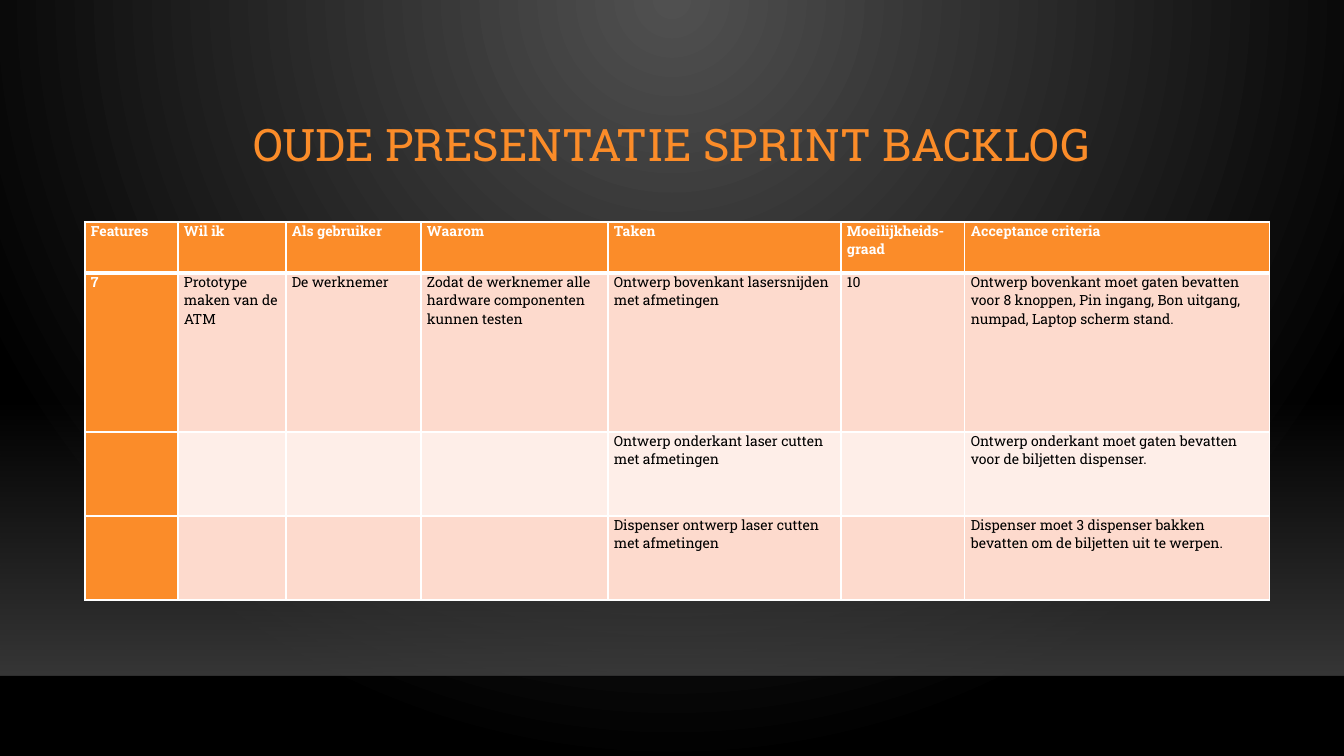
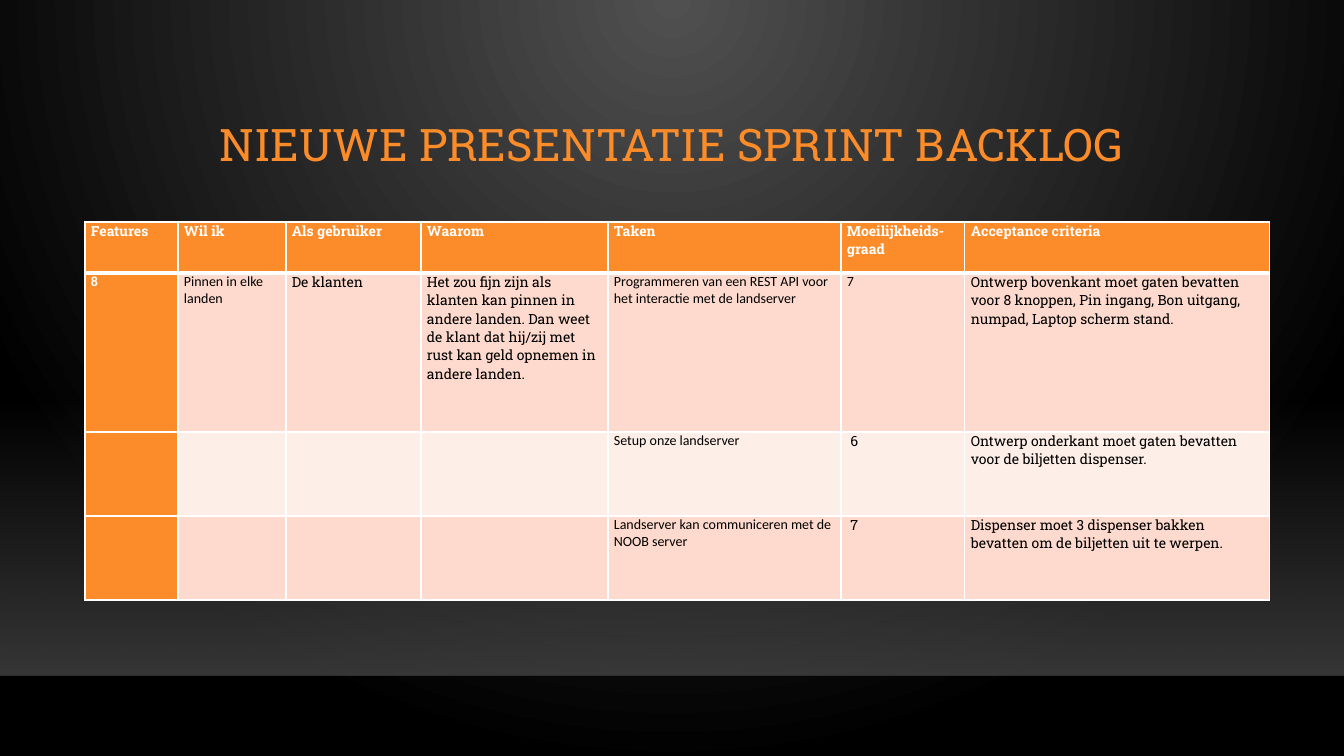
from dataclasses import dataclass

from lxml import etree
from pptx import Presentation
from pptx.dml.color import RGBColor
from pptx.enum.shapes import MSO_CONNECTOR, MSO_SHAPE
from pptx.enum.text import MSO_ANCHOR, MSO_AUTO_SIZE, PP_ALIGN
from pptx.oxml import parse_xml
from pptx.oxml.ns import nsdecls, qn
from pptx.util import Emu, Pt

STRAIGHT = MSO_CONNECTOR.STRAIGHT
RECTANGLE = MSO_SHAPE.RECTANGLE
MIDDLE = MSO_ANCHOR.MIDDLE
NO_AUTOFIT = MSO_AUTO_SIZE.NONE
CENTER = PP_ALIGN.CENTER

EMU_PER_PX = 914400 / 100.8
SLIDE_WIDTH, SLIDE_HEIGHT = 1344, 756
BAND_TOP, BAND_BOTTOM = 400, 676
TITLE_ONLY_LAYOUT = 5


@dataclass(frozen=True)
class Theme:
    accent: str = "FB8C29"
    row_dark: str = "FDDACD"
    row_light: str = "FEEEE8"
    border: str = "FFFFFF"
    header_text: str = "FFFFFF"
    body_text: str = "000000"
    glow: str = "505050"
    backdrop: str = "000000"
    band: str = "454545"
    band_edge: str = "000001"
    font: str = "Roboto Slab"
    plain_font: str = "Calibri"
    title_size: int = 32
    table_size: int = 10
    thin_line: int = 1
    thick_line: int = 3


@dataclass(frozen=True)
class Box:
    left: int
    top: int
    width: int
    height: int

    def emu(self) -> tuple[Emu, Emu, Emu, Emu]:
        return px(self.left), px(self.top), px(self.width), px(self.height)


@dataclass(frozen=True)
class Entry:
    text: str = ""
    font: str = Theme.font


@dataclass(frozen=True)
class Backlog:
    """A sprint backlog; its rows leave out the shared acceptance criteria."""
    title: str
    rows: tuple[tuple[Entry, ...], ...]


THEME = Theme()
TITLE_BOX = Box(160, 89, 1024, 116)
TABLE_LEFT, TABLE_TOP = 85, 222
COLUMN_WIDTHS = (93, 108, 135, 187, 233, 124, 305)
ROW_HEIGHTS = (51, 159, 84, 84)
CELL_INSET = 6

HEADERS = tuple(map(Entry, (
    "Features", "Wil ik", "Als gebruiker", "Waarom", "Taken",
    "Moeilijkheids-graad", "Acceptance criteria",
)))
ACCEPTANCE_CRITERIA = tuple(map(Entry, (
    "Ontwerp bovenkant moet gaten bevatten voor 8 knoppen, Pin ingang, "
    "Bon uitgang, numpad, Laptop scherm stand.",
    "Ontwerp onderkant moet gaten bevatten voor de biljetten dispenser.",
    "Dispenser moet 3 dispenser bakken bevatten om de biljetten uit te werpen.",
)))
NO_STORY = (Entry(),) * 4


def plain(text: str) -> Entry:
    return Entry(text, THEME.plain_font)


BACKLOGS = (
    Backlog("OUDE PRESENTATIE SPRINT BACKLOG", (
        (Entry("7"), Entry("Prototype maken van de ATM"), Entry("De werknemer"),
         Entry("Zodat de werknemer alle hardware componenten kunnen testen"),
         Entry("Ontwerp bovenkant lasersnijden met afmetingen"), Entry("10")),
        (*NO_STORY, Entry("Ontwerp onderkant laser cutten met afmetingen"), Entry()),
        (*NO_STORY, Entry("Dispenser ontwerp laser cutten met afmetingen"), Entry()),
    )),
    Backlog("NIEUWE PRESENTATIE SPRINT BACKLOG", (
        (plain("8"), plain("Pinnen in elke landen"), Entry("De klanten"),
         Entry("Het zou fijn zijn als klanten kan pinnen in andere landen. "
               "Dan weet de klant dat hij/zij met rust kan geld opnemen in andere landen."),
         plain("Programmeren van een REST API voor het interactie met de landserver"),
         plain("7")),
        (*NO_STORY, plain("Setup onze landserver"), Entry(" 6")),
        (*NO_STORY, plain("Landserver kan communiceren met de NOOB server"), Entry(" 7")),
    )),
)


def px(length: int) -> Emu:
    return Emu(round(length * EMU_PER_PX))


def rgb(color: str) -> RGBColor:
    return RGBColor.from_string(color)


def replace_solid_fill(element, stops: tuple[tuple[str, int], ...], direction: str) -> None:
    """Swap the first solid fill for a gradient between (colour, opacity) stops."""
    stop_xml = "".join(
        f'<a:gs pos="{position}"><a:srgbClr val="{color}">'
        f'<a:alpha val="{opacity * 1000}"/></a:srgbClr></a:gs>'
        for position, (color, opacity) in zip((0, 100000), stops)
    )
    gradient = parse_xml(
        f'<a:gradFill {nsdecls("a")} rotWithShape="1">'
        f"<a:gsLst>{stop_xml}</a:gsLst>{direction}</a:gradFill>"
    )
    solid = element.find(".//" + qn("a:solidFill"))
    solid.getparent().replace(solid, gradient)


def move_to_master(shape, master) -> None:
    tree = master.element.cSld.spTree
    used_ids = [int(value) for value in tree.xpath(".//p:cNvPr/@id")]
    shape.element.xpath(".//p:cNvPr")[0].set("id", str(max(used_ids) + 1))
    tree.append(shape.element)


def decorate_master(master, slide) -> None:
    """Build the backdrop and the floor band once; the slide only lends its shape tree."""
    master.background.fill.solid()
    master.background.fill.fore_color.rgb = rgb(THEME.backdrop)
    replace_solid_fill(
        master.element.cSld.find(qn("p:bg")),
        ((THEME.glow, 100), (THEME.backdrop, 100)),
        '<a:path path="circle"><a:fillToRect l="43000" t="0" r="43000" b="100000"/></a:path>',
    )

    band_box = Box(0, BAND_TOP, SLIDE_WIDTH, BAND_BOTTOM - BAND_TOP)
    band = slide.shapes.add_shape(RECTANGLE, *band_box.emu())
    band.shadow.inherit = False
    band.line.fill.background()
    band.fill.solid()
    replace_solid_fill(
        band.element.spPr, ((THEME.band, 0), (THEME.band, 80)),
        '<a:lin ang="5400000" scaled="0"/>',
    )
    move_to_master(band, master)

    edge = slide.shapes.add_connector(
        STRAIGHT, px(0), px(BAND_BOTTOM), px(SLIDE_WIDTH), px(BAND_BOTTOM))
    edge.line.width = Pt(THEME.thin_line)
    edge.line.color.rgb = rgb(THEME.band_edge)
    color = edge.element.spPr.find(".//" + qn("a:srgbClr"))
    etree.SubElement(color, qn("a:alpha")).set("val", "20000")
    etree.SubElement(edge.element.spPr, qn("a:effectLst"))
    move_to_master(edge, master)


def format_font(paragraph, font: str, size: int, color: str, bold: bool = False) -> None:
    paragraph.font.name = font
    paragraph.font.size = Pt(size)
    paragraph.font.bold = bold
    paragraph.font.color.rgb = rgb(color)


def add_title(slide, text: str) -> None:
    title = slide.shapes.title
    title.left, title.top, title.width, title.height = TITLE_BOX.emu()
    frame = title.text_frame
    frame.text = text
    frame.word_wrap = True
    frame.auto_size = NO_AUTOFIT
    frame.vertical_anchor = MIDDLE
    paragraph = frame.paragraphs[0]
    paragraph.alignment = CENTER
    paragraph.line_spacing = 0.9
    format_font(paragraph, THEME.font, THEME.title_size, THEME.accent)


def set_borders(cell, top: int, bottom: int) -> None:
    """Draw all four borders; call before filling, as lines precede the fill."""
    properties = cell._tc.get_or_add_tcPr()
    widths = {"lnL": THEME.thin_line, "lnR": THEME.thin_line, "lnT": top, "lnB": bottom}
    for side, width in widths.items():
        properties.append(parse_xml(
            f'<a:{side} {nsdecls("a")} w="{Pt(width)}"><a:solidFill>'
            f'<a:srgbClr val="{THEME.border}"/></a:solidFill></a:{side}>'
        ))


def fill_cell(cell, entry: Entry, row: int, column: int) -> None:
    is_heading = row == 0 or column == 0
    set_borders(
        cell,
        top=THEME.thick_line if row == 1 else THEME.thin_line,
        bottom=THEME.thick_line if row == 0 else THEME.thin_line,
    )
    band_color = THEME.row_dark if row % 2 else THEME.row_light
    cell.fill.solid()
    cell.fill.fore_color.rgb = rgb(THEME.accent if is_heading else band_color)
    cell.margin_left = cell.margin_right = px(CELL_INSET)
    cell.margin_top = cell.margin_bottom = 0
    cell.text = entry.text
    format_font(
        cell.text_frame.paragraphs[0], entry.font, THEME.table_size,
        THEME.header_text if is_heading else THEME.body_text, bold=is_heading,
    )


def add_backlog_table(slide, backlog: Backlog) -> None:
    box = Box(TABLE_LEFT, TABLE_TOP, sum(COLUMN_WIDTHS), sum(ROW_HEIGHTS))
    table = slide.shapes.add_table(
        len(ROW_HEIGHTS), len(COLUMN_WIDTHS), *box.emu()).table
    table.first_col = True
    table.horz_banding = False
    for column, width in zip(table.columns, COLUMN_WIDTHS):
        column.width = px(width)
    for row, height in zip(table.rows, ROW_HEIGHTS):
        row.height = px(height)

    body = [(*entries, criterion)
            for entries, criterion in zip(backlog.rows, ACCEPTANCE_CRITERIA)]
    for row_index, entries in enumerate([HEADERS, *body]):
        for column_index, entry in enumerate(entries):
            fill_cell(table.cell(row_index, column_index), entry, row_index, column_index)


def main() -> None:
    presentation = Presentation()
    presentation.slide_width = px(SLIDE_WIDTH)
    presentation.slide_height = px(SLIDE_HEIGHT)
    layout = presentation.slide_layouts[TITLE_ONLY_LAYOUT]
    slides = [presentation.slides.add_slide(layout) for _ in BACKLOGS]
    decorate_master(presentation.slide_master, slides[0])
    for slide, backlog in zip(slides, BACKLOGS):
        add_title(slide, backlog.title)
        add_backlog_table(slide, backlog)
    presentation.save("out.pptx")


if __name__ == "__main__":
    main()
